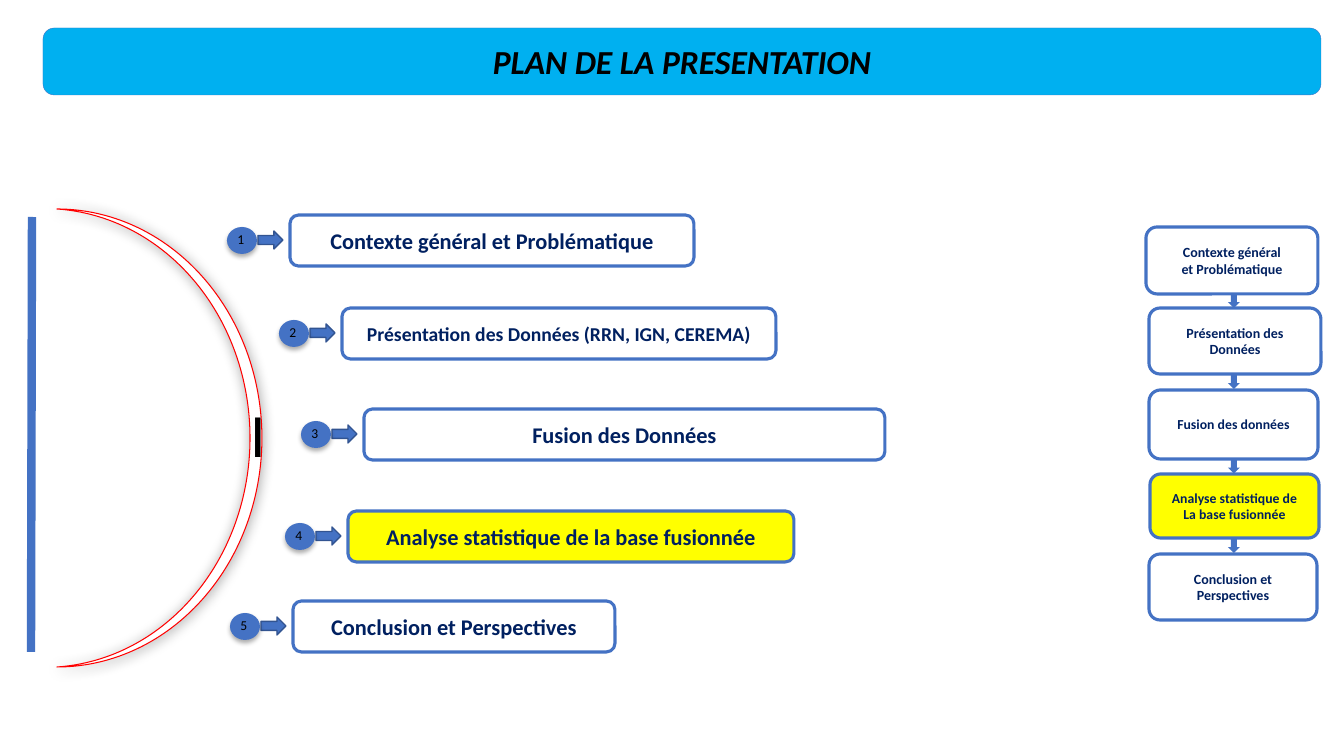
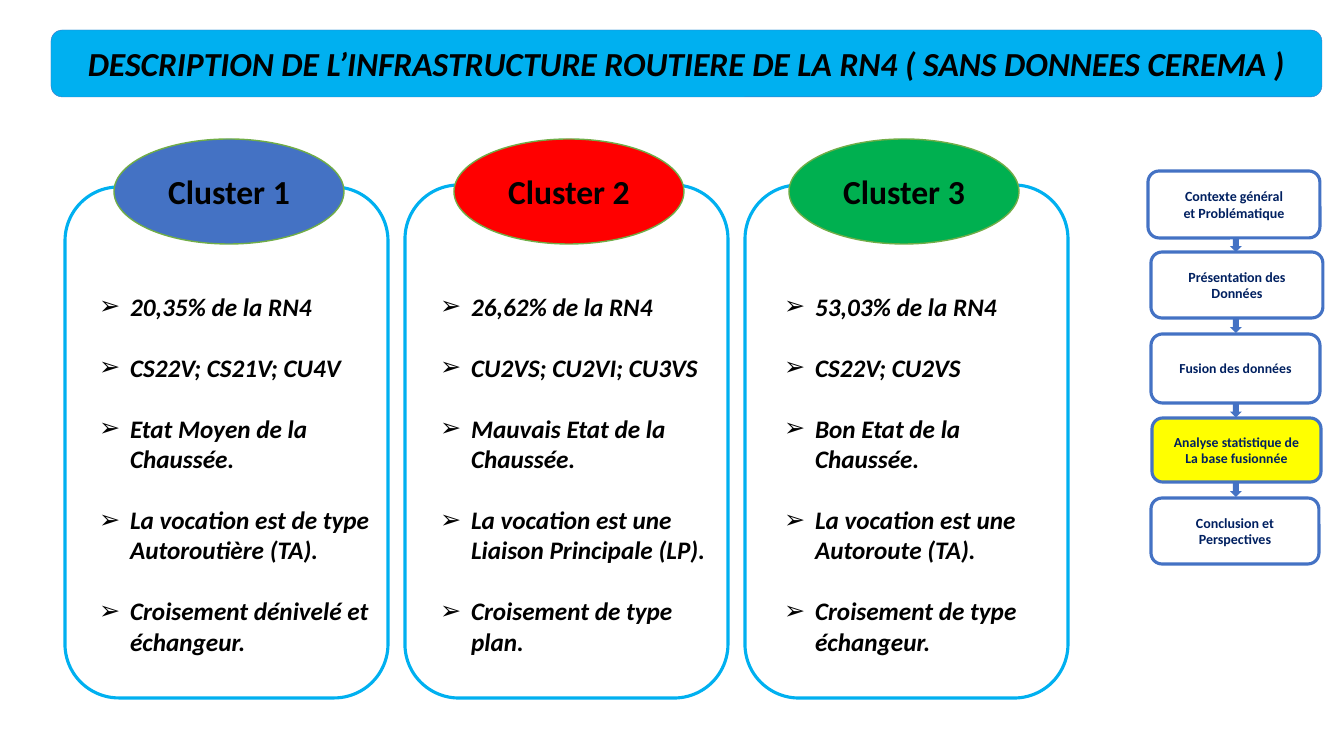
from dataclasses import dataclass

from lxml.etree import SubElement
from pptx import Presentation
from pptx.dml.color import RGBColor
from pptx.enum.shapes import MSO_CONNECTOR as Connector, MSO_SHAPE as Shape
from pptx.enum.text import MSO_ANCHOR as Anchor, MSO_AUTO_SIZE as AutoSize, PP_ALIGN as Align
from pptx.oxml.ns import qn
from pptx.util import Emu, Pt


@dataclass(frozen=True)
class Theme:
    font: str = "Calibri"
    blue: str = "4472C4"
    dark_blue: str = "325491"
    navy: str = "002060"
    cyan: str = "00B0F0"
    yellow: str = "FFFF00"
    red: str = "FF0000"
    green: str = "00B050"
    leaf: str = "70AD47"
    white: str = "FFFFFF"
    black: str = "000000"
    title_size: float = 24
    list_size: float = 18
    number_size: float = 9.7
    mark_size: float = 44
    outline: float = 2.25


THEME = Theme()

# Content: boxes are left, top, width, height in px
SLIDE_SIZE = 1344, 756
CURRENT_STEP = 4
STEPS = [
    ("Contexte général\net Problématique", 10, (1146, 227, 172, 67)),
    ("Présentation des\nDonnées", 10, (1149, 308, 172, 66)),
    ("Fusion des données", 9.8, (1149, 390, 169, 69)),
    ("Analyse statistique de\nLa base fusionnée", 9.8, (1150, 474, 169, 64)),
    ("Conclusion et Perspectives", 10, (1149, 554, 168, 66)),
]
PLAN_TITLE = "PLAN DE LA PRESENTATION"
PLAN = [  # text, size, left, top, width
    ("Contexte général et Problématique", 16, 290, 215, 404),
    ("Présentation des Données (RRN, IGN, CEREMA)", 14, 342, 308, 434),
    ("Fusion des Données", 16, 364, 409, 521),
    ("Analyse statistique de la base fusionnée", 16, 348, 511, 446),
    ("Conclusion et Perspectives", 16, 293, 601, 322),
]
CLUSTER_TITLE = "DESCRIPTION DE L’INFRASTRUCTURE ROUTIERE DE LA RN4 ( SANS DONNEES CEREMA )"
CLUSTERS = [  # name, colour, card top, oval left, list left, list width, findings
    ("Cluster 1", THEME.blue, 187, 114, 89, 292, [
        "20,35% de la RN4", "CS22V; CS21V; CU4V", "Etat Moyen de la Chaussée.",
        "La vocation est de type Autoroutière (TA).",
        "Croisement dénivelé et échangeur."]),
    ("Cluster 2", THEME.red, 185, 454, 430, 286, [
        "26,62% de la RN4", "CU2VS; CU2VI; CU3VS", "Mauvais Etat de la Chaussée.",
        "La vocation est une Liaison Principale (LP).",
        "Croisement de type plan."]),
    ("Cluster 3", THEME.green, 185, 789, 774, 286, [
        "53,03% de la RN4", "CS22V; CU2VS", "Bon Etat de la Chaussée.",
        "La vocation est une Autoroute (TA).",
        "Croisement de type échangeur."]),
]


def px(length):
    return Emu(round(length * 914400 / 100.8))


def rgb(colour):
    return RGBColor.from_string(colour)


def place(shape, box):
    shape.left, shape.top, shape.width, shape.height = map(px, box)


def add_shape(slide, kind, box, fill, line=None, width=THEME.outline):
    shape = slide.shapes.add_shape(kind, *map(px, box))
    shape.shadow.inherit = False
    shape.fill.solid()
    shape.fill.fore_color.rgb = rgb(fill)
    if line:
        shape.line.color.rgb = rgb(line)
        shape.line.width = Pt(width)
    else:
        shape.line.fill.background()
    return shape


def style(paragraph, size, colour=THEME.black, bold=True, italic=False, align=Align.CENTER):
    paragraph.alignment = align
    font = paragraph.font
    font.name, font.size, font.bold, font.italic = THEME.font, Pt(size), bold, italic
    font.color.rgb = rgb(colour)


def write(shape, text, size, anchor=Anchor.MIDDLE, wrap=True, **look):
    frame = shape.text_frame
    frame.text = text
    frame.word_wrap = wrap
    frame.auto_size = AutoSize.NONE
    frame.vertical_anchor = anchor
    for paragraph in frame.paragraphs:
        style(paragraph, size, **look)
    return frame


def add_shadow(shape, blur, distance, opacity):
    effects = shape.element.spPr.find(qn("a:effectLst"))
    shadow = SubElement(effects, qn("a:outerShdw"), blurRad=str(Pt(blur)),
                        dist=str(Pt(distance)), dir="5400000", rotWithShape="0")
    colour = SubElement(shadow, qn("a:srgbClr"), val=THEME.black)
    SubElement(colour, qn("a:alpha"), val=str(opacity * 1000))


def add_bullet(paragraph):
    properties = paragraph._p.get_or_add_pPr()
    properties.set("marL", str(px(31)))
    properties.set("indent", str(px(-31)))
    SubElement(properties, qn("a:buChar"), char="➢")


def add_title(slide, text, box):
    title = slide.shapes.title
    band = add_shape(slide, Shape.ROUNDED_RECTANGLE, box, THEME.cyan, THEME.blue, 0.25)
    title.element.addprevious(band.element)
    place(title, box)
    write(title, text, THEME.title_size, italic=True)


def add_step(slide, number, box, text, size):
    fill = THEME.yellow if number == CURRENT_STEP else THEME.white
    shape = add_shape(slide, Shape.ROUNDED_RECTANGLE, box, fill, THEME.blue)
    write(shape, text, size, colour=THEME.navy)


def add_progress(slide, shift_x=0, shift_y=0):
    """Column of steps at the right, with an arrow centred in each gap."""
    previous_bottom = None
    for number, (text, size, (left, top, width, height)) in enumerate(STEPS, 1):
        top += shift_y
        add_step(slide, number, (left + shift_x, top, width, height), text, size)
        if previous_bottom:
            arrow_top = (previous_bottom + top - 14) / 2
            add_shape(slide, Shape.DOWN_ARROW, (1228 + shift_x, arrow_top, 12, 14), THEME.blue)
        previous_bottom = top + height


def build_plan(presentation):
    slide = presentation.slides.add_slide(presentation.slide_layouts[5])
    add_title(slide, PLAN_TITLE, (43, 28, 1278, 67))

    # Bar and crescent at the left
    bar = slide.shapes.add_connector(Connector.STRAIGHT, px(32), px(217), px(31), px(652))
    bar.line.color.rgb = rgb(THEME.blue)
    bar.line.width = Pt(6)
    SubElement(bar.element.spPr, qn("a:effectLst"))
    crescent = add_shape(slide, Shape.MOON, (57, 209, 205, 458), THEME.white, THEME.red, 0.75)
    crescent.adjustments[0] = 0.058
    crescent.element.spPr.get_or_add_xfrm().set("flipH", "1")
    add_shadow(crescent, 10, 1, 35)
    frame = write(crescent, "I", THEME.mark_size, wrap=False, bold=False, align=Align.LEFT)
    frame.paragraphs[0].line_spacing = 0.9

    # Numbered steps
    for number, (text, size, left, top, width) in enumerate(PLAN, 1):
        add_step(slide, number, (left, top, width, 51), text, size)
        add_shape(slide, Shape.RIGHT_ARROW, (left - 32, top + 16, 25, 18),
                  THEME.blue, THEME.dark_blue, 1)
        badge = add_shape(slide, Shape.OVAL, (left - 63, top + 12, 30, 27), THEME.blue)
        add_shadow(badge, 3.5, 2.2, 32)
        frame = write(badge, str(number), THEME.number_size, anchor=Anchor.TOP,
                      bold=False, align=Align.LEFT)
        frame.margin_left, frame.margin_top = px(6), 0
        frame.margin_right, frame.margin_bottom = px(10), px(3)

    add_progress(slide)


def build_clusters(presentation):
    slide = presentation.slides.add_slide(presentation.slide_layouts[4])
    add_title(slide, CLUSTER_TITLE, (51, 30, 1271, 67))
    title, *bodies = slide.placeholders
    spare = bodies.pop()
    spare.element.getparent().remove(spare.element)

    for index, (cluster, body) in enumerate(zip(CLUSTERS, bodies)):
        name, colour, top, oval_left, list_left, list_width, findings = cluster
        # Card behind its list
        card_box = (65 + 340 * index, top, 323, 698 - top)
        card = add_shape(slide, Shape.ROUNDED_RECTANGLE, card_box, THEME.white, THEME.cyan)
        title.element.addprevious(card.element)
        oval = add_shape(slide, Shape.OVAL, (oval_left, 139, 230, 105), colour, THEME.leaf, 1)
        write(oval, name, THEME.title_size)

        # Findings
        place(body, (list_left, 286, list_width, 377))
        frame = body.text_frame
        frame.text = "\n".join(findings)
        frame.word_wrap = True
        frame.auto_size = AutoSize.NONE
        frame.vertical_anchor = Anchor.TOP
        for position, paragraph in enumerate(frame.paragraphs):
            add_bullet(paragraph)
            paragraph.space_before = Pt(22 if position else 0)
            style(paragraph, THEME.list_size, italic=True, align=Align.LEFT)

    add_progress(slide, 2, -56)


def main():
    presentation = Presentation()
    presentation.slide_width, presentation.slide_height = map(px, SLIDE_SIZE)
    build_plan(presentation)
    build_clusters(presentation)
    presentation.save("out.pptx")


if __name__ == "__main__":
    main()
